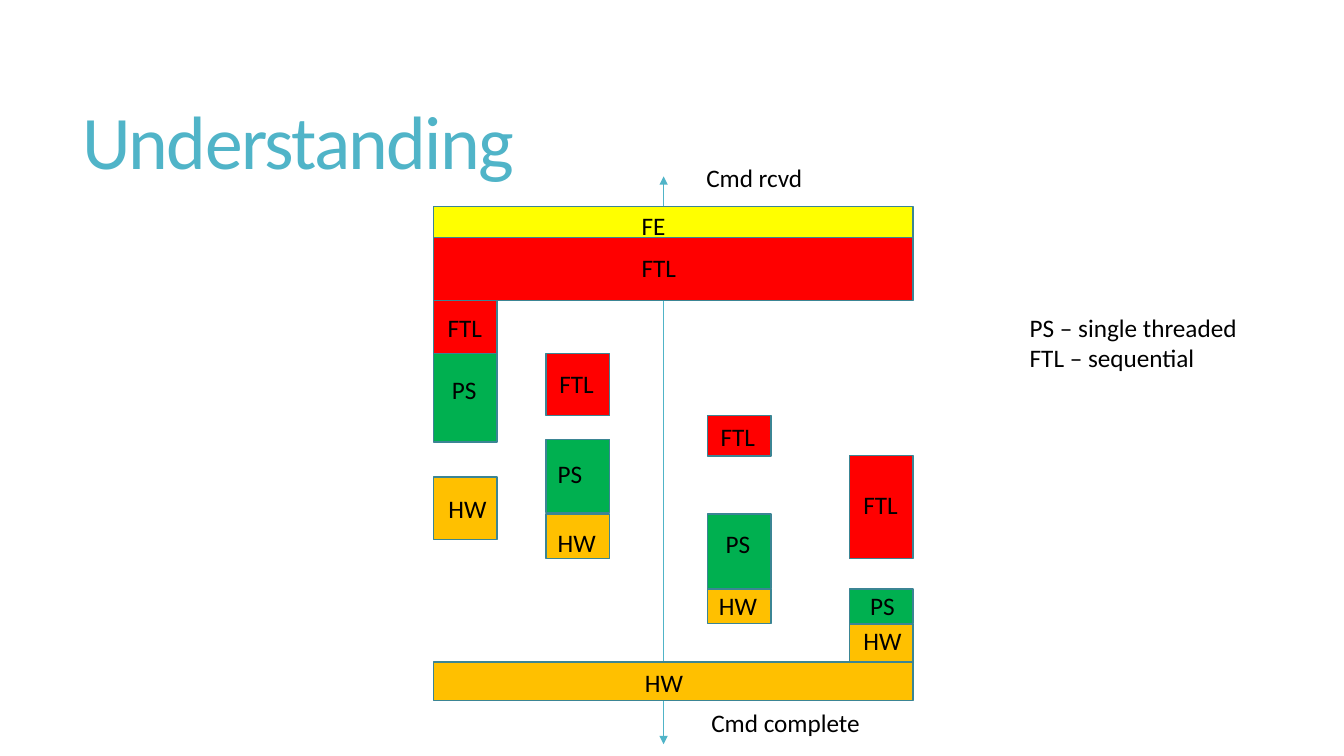
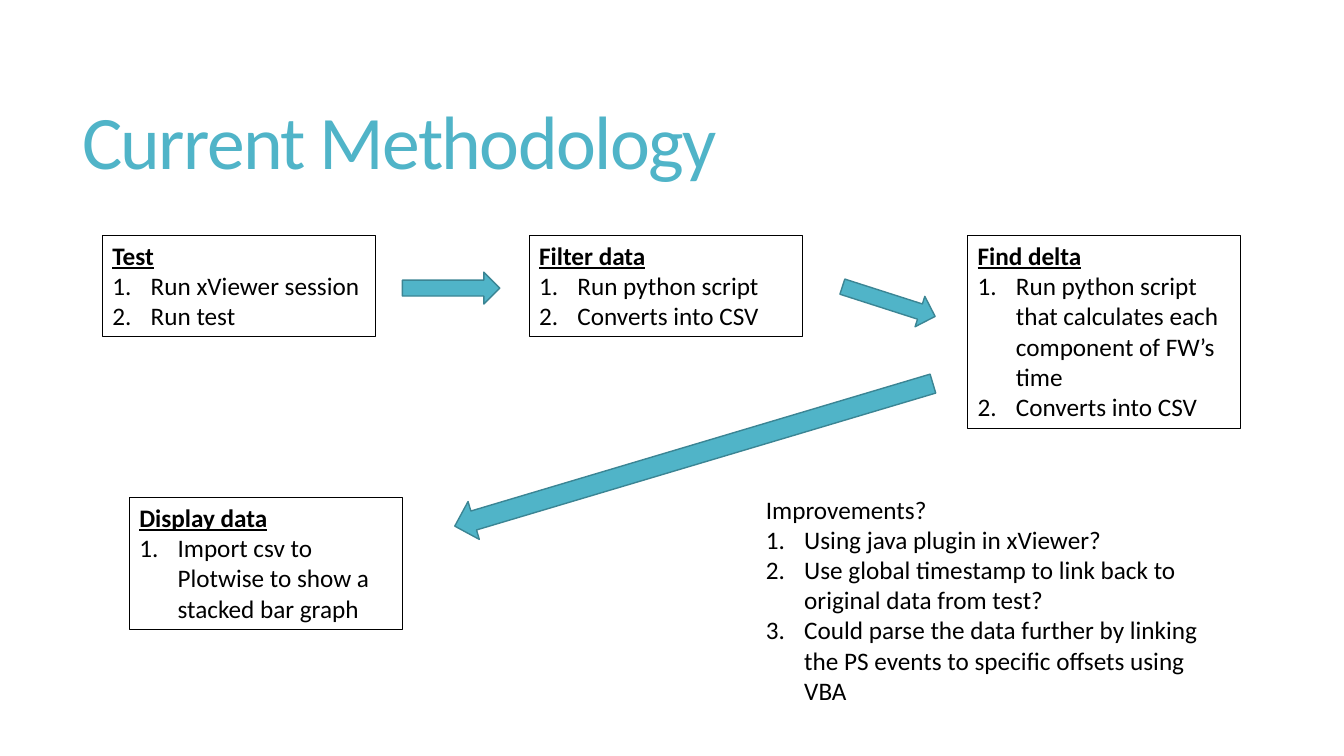
from dataclasses import dataclass

from lxml import etree
from pptx import Presentation
from pptx import util as u
from pptx.dml.color import RGBColor
from pptx.enum import shapes, text
from pptx.oxml import ns
from pptx.shapes.autoshape import Shape
from pptx.slide import Slide

WIDTH, HEIGHT = u.Inches(13.33), u.Inches(7.5)
COLUMNS, ROWS = 160, 90
FONT = "Calibri"
COLORS = {
    "accent": "50B4C8",
    "outline": "3B8594",
    "text": "000000",
    "FE": "FFFF00",
    "FTL": "FF0000",
    "PS": "00B050",
    "HW": "FFC000",
}


@dataclass(frozen=True)
class Area:
    column: float
    row: float
    columns: float
    rows: float

    def lengths(self) -> tuple[int, int, int, int]:
        return (across(self.column), down(self.row), across(self.columns), down(self.rows))


@dataclass(frozen=True)
class Stage:
    name: str
    row: float
    rows: float
    label_column: float
    label_row: float


@dataclass(frozen=True)
class Lane:
    column: float
    columns: float
    stages: tuple[Stage, ...]


@dataclass(frozen=True)
class Step:
    area: Area
    heading: str
    items: tuple[str, ...]
    framed: bool = True


@dataclass(frozen=True)
class Arrow:
    area: Area
    rotation: float = 0


BAR_LEFT, BAR_COLUMNS, BLOCK_COLUMNS = 51.6, 57.1, 7.6
LABEL_COLUMNS, LABEL_ROWS = 7.3, 4.8
LANES = (
    Lane(BAR_LEFT, BAR_COLUMNS, (
        Stage("FE", 24.6, 3.7, 23.6, -0.1),
        Stage("FTL", 28.3, 7.5, 23.6, 1.2),
    )),
    Lane(BAR_LEFT, BLOCK_COLUMNS, (
        Stage("FTL", 35.8, 6.3, 0.5, 0.8),
        Stage("PS", 42.1, 10.5, 1, 1.9),
        Stage("HW", 56.8, 7.4, 0.6, 1.3),
    )),
    Lane(65, BLOCK_COLUMNS, (
        Stage("FTL", 42.1, 7.4, 0.4, 1.1),
        Stage("PS", 52.3, 8.7, 0.2, 1.7),
        Stage("HW", 61.2, 5.3, 0.2, 1),
    )),
    Lane(84.2, BLOCK_COLUMNS, (
        Stage("FTL", 49.5, 4.8, 0.4, 0.1),
        Stage("PS", 61.2, 8.9, 1, 1.1),
        Stage("HW", 70.1, 4.1, 0.2, -0.4),
    )),
    Lane(BAR_LEFT + BAR_COLUMNS - BLOCK_COLUMNS, BLOCK_COLUMNS, (
        Stage("FTL", 54.2, 12.3, 0.5, 3.5),
        Stage("PS", 70.1, 4.1, 1.3, -0.4),
        Stage("HW", 74.3, 4.5, 0.5, -0.4),
    )),
    Lane(BAR_LEFT, BAR_COLUMNS, (Stage("HW", 78.8, 4.6, 24, 0),)),
)
NOTES = (
    (Area(82.9, 18.7, 17.6, LABEL_ROWS), "Cmd rcvd"),
    (Area(83.5, 83.6, 22.6, LABEL_ROWS), "Cmd complete"),
    (Area(121.4, 36.6, 31.8, 8.5), "PS – single threaded\nFTL – sequential"),
)

STEP_COLUMNS, STEP_ROW = 32.5, 28
STEPS = (
    Step(Area(12.2, STEP_ROW, STEP_COLUMNS, 12.1), "Test",
         ("Run xViewer session", "Run test")),
    Step(Area(63, STEP_ROW, STEP_COLUMNS, 12.1), "Filter data",
         ("Run python script", "Converts into CSV")),
    Step(Area(115.2, STEP_ROW, STEP_COLUMNS, 23), "Find delta",
         ("Run python script that calculates each component of FW’s time",
          "Converts into CSV")),
    Step(Area(15.4, 59.2, STEP_COLUMNS, 15.7), "Display data",
         ("Import csv to Plotwise to show a stacked bar graph",)),
    Step(Area(90, 58.2, 55, 26.6), "Improvements?",
         ("Using java plugin in xViewer?",
          "Use global timestamp to link back to original data from test?",
          "Could parse the data further by linking the PS events to specific offsets using VBA"),
         framed=False),
)
ARROWS = (
    Arrow(Area(47.9, 32.4, 11.6, 3.8)),
    Arrow(Area(100, 34, 11.6, 3.8), 17.8),
    Arrow(Area(52.9, 51.8, 59.4, 4.7), 163.4),
)


def across(columns: float) -> int:
    return round(WIDTH * columns / COLUMNS)


def down(rows: float) -> int:
    return round(HEIGHT * rows / ROWS)


def color(name: str) -> RGBColor:
    return RGBColor.from_string(COLORS[name])


def add_text(slide: Slide, area: Area, words: str, size: float = 18,
             color_name: str = "text") -> Shape:
    shape = slide.shapes.add_textbox(*area.lengths())
    shape.text_frame.word_wrap = True
    shape.text_frame.text = words
    for paragraph in shape.text_frame.paragraphs:
        for run in paragraph.runs:
            run.font.name = FONT
            run.font.size = u.Pt(size)
            run.font.color.rgb = color(color_name)
    return shape


def add_title(slide: Slide, words: str) -> None:
    shape = add_text(slide, Area(8.6, 6.6, 141.4, 21.7), words, 54, "accent")
    shape.text_frame.vertical_anchor = text.MSO_ANCHOR.MIDDLE
    paragraph = shape.text_frame.paragraphs[0]
    paragraph.line_spacing = 0.85
    paragraph.runs[0].font._element.set("spc", "-120")


def add_filled(slide: Slide, preset: shapes.MSO_SHAPE, area: Area, fill: str) -> Shape:
    shape = slide.shapes.add_shape(preset, *area.lengths())
    shape.shadow.inherit = False
    shape.fill.solid()
    shape.fill.fore_color.rgb = color(fill)
    shape.line.color.rgb = color("outline")
    shape.line.width = u.Pt(1)
    return shape


def add_timeline(slide: Slide) -> None:
    column = across(79)
    connector = slide.shapes.add_connector(
        shapes.MSO_CONNECTOR.STRAIGHT, column, down(21), column, down(88.6))
    connector.line.color.rgb = color("accent")
    connector.line.width = u.Pt(0.75)
    line = connector.line._get_or_add_ln()
    for end in ("a:headEnd", "a:tailEnd"):
        etree.SubElement(line, ns.qn(end), type="triangle")
    etree.SubElement(connector._element.spPr, ns.qn("a:effectLst"))


def add_step(slide: Slide, step: Step) -> None:
    shape = add_text(slide, step.area, "\n".join((step.heading, *step.items)))
    heading, *items = shape.text_frame.paragraphs
    if step.framed:
        shape.line.color.rgb = color("text")
        shape.line.width = u.Pt(0.75)
        heading.runs[0].font.bold = True
        heading.runs[0].font.underline = True
    indent = u.Inches(0.38)
    for paragraph in items:
        properties = paragraph._p.get_or_add_pPr()
        properties.set("marL", str(indent))
        properties.set("indent", str(-indent))
        etree.SubElement(properties, ns.qn("a:buFont"), typeface="+mj-lt")
        etree.SubElement(properties, ns.qn("a:buAutoNum"), type="arabicPeriod")


def build_understanding(slide: Slide) -> None:
    add_title(slide, "Understanding")
    add_timeline(slide)
    placed = [(lane, stage) for lane in LANES for stage in lane.stages]
    for lane, stage in placed:
        area = Area(lane.column, stage.row, lane.columns, stage.rows)
        add_filled(slide, shapes.MSO_SHAPE.RECTANGLE, area, stage.name)
    for lane, stage in placed:
        area = Area(lane.column + stage.label_column, stage.row + stage.label_row,
                    LABEL_COLUMNS, LABEL_ROWS)
        add_text(slide, area, stage.name)
    for area, words in NOTES:
        add_text(slide, area, words)


def build_methodology(slide: Slide) -> None:
    add_title(slide, "Current Methodology")
    for step in STEPS:
        add_step(slide, step)
    for arrow in ARROWS:
        shape = add_filled(slide, shapes.MSO_SHAPE.RIGHT_ARROW, arrow.area, "accent")
        shape.rotation = arrow.rotation


def main() -> None:
    presentation = Presentation()
    presentation.slide_width, presentation.slide_height = WIDTH, HEIGHT
    blank = presentation.slide_layouts[6]
    for build in (build_understanding, build_methodology):
        build(presentation.slides.add_slide(blank))
    presentation.save("out.pptx")


if __name__ == "__main__":
    main()
